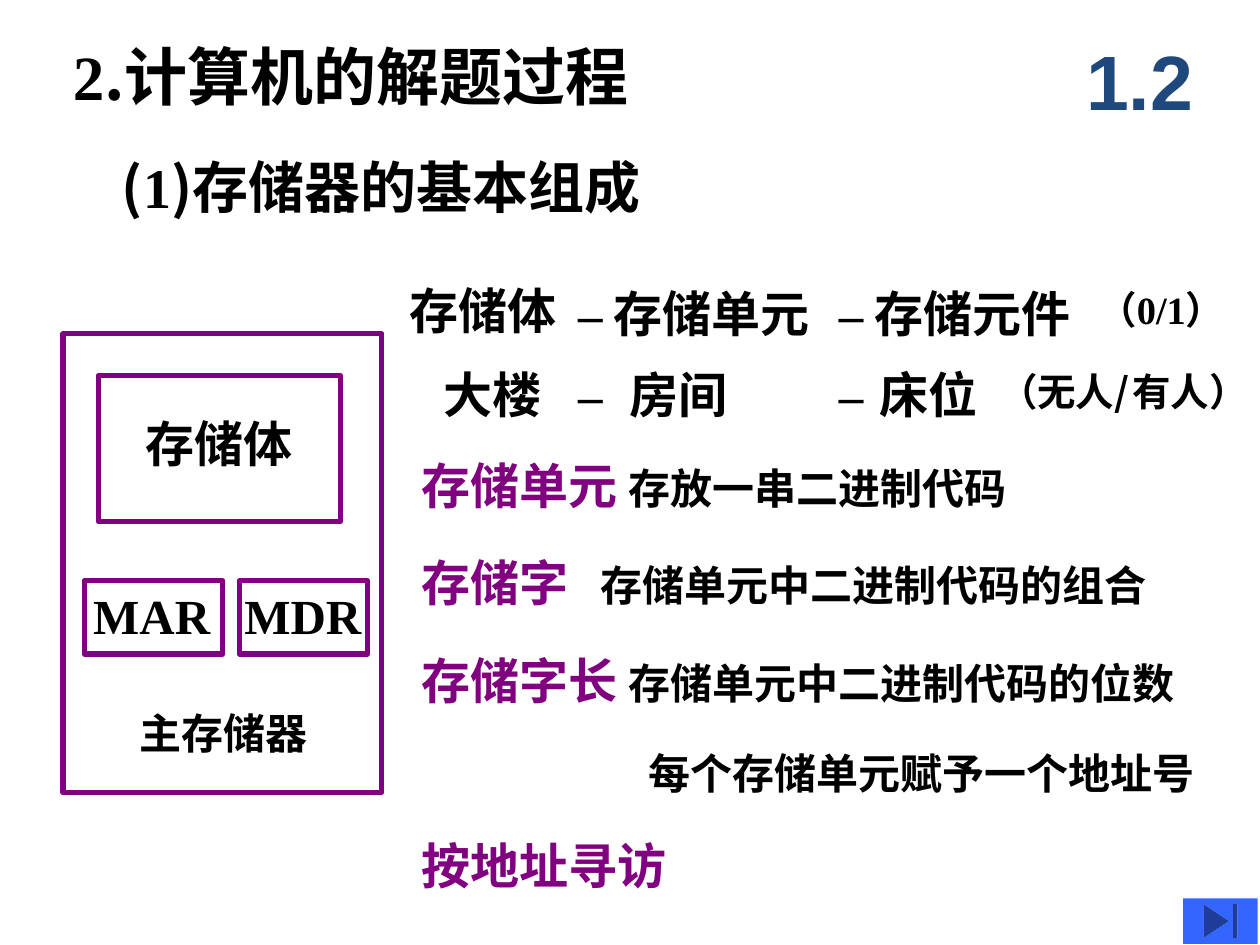
from dataclasses import dataclass
from lxml.etree import SubElement
from pptx import Presentation
from pptx.dml.color import RGBColor
from pptx.enum.shapes import MSO_SHAPE as Preset
from pptx.enum.text import MSO_ANCHOR as Anchor, MSO_AUTO_SIZE as AutoSize, PP_ALIGN as Align
from pptx.oxml import parse_xml
from pptx.oxml.ns import nsdecls, qn
from pptx.util import Pt


@dataclass(frozen=True)
class Theme:
    ink: RGBColor = RGBColor(0, 0, 0)
    accent: RGBColor = RGBColor(0x80, 0, 0x80)
    number: RGBColor = RGBColor(0x1F, 0x49, 0x7D)
    button: RGBColor = RGBColor(0x33, 0x66, 0xFF)
    cjk: str = "Noto Sans CJK SC"
    serif: str = "Times New Roman"
    sans: str = "Arial"
    section: int = 44
    title: int = 36
    subtitle: int = 32
    term: int = 28
    text: int = 24
    note: int = 22
    gap: int = 8


theme = Theme()
deck = Presentation()
deck.slide_width, deck.slide_height = Pt(720), Pt(540)
page = deck.slides.add_slide(deck.slide_layouts[5])


def write(box, place, spans, size, color=theme.ink, wrap=True, margins=(7.2, 3.6, 7.2, 3.6),
          align=Align.LEFT, anchor=Anchor.TOP, grow=True, tab=None):
    box.left, box.top, box.width, box.height = map(Pt, place)
    frame = box.text_frame
    frame.margin_left, frame.margin_top, frame.margin_right, frame.margin_bottom = map(Pt, margins)
    frame.word_wrap = wrap
    frame.vertical_anchor = anchor
    frame.auto_size = AutoSize.SHAPE_TO_FIT_TEXT if grow else AutoSize.NONE
    para = frame.paragraphs[0]
    para.alignment = align
    para.font.bold = True
    para.font.size = Pt(size)
    para.font.color.rgb = color
    if tab:
        para._p.get_or_add_pPr().insert(0, parse_xml(
            f'<a:tabLst {nsdecls("a")}><a:tab pos="{Pt(tab)}" algn="l"/></a:tabLst>'))
    for text, face, *style in spans:
        span = para.add_run()
        span.text = text
        if style:
            span.font.size = Pt(style[0])
            span.font.color.rgb = style[1] if len(style) > 1 else color
        span.font.name = face
        SubElement(span._r.get_or_add_rPr(), qn("a:ea"), typeface=face)


def add_text(*args, **options):
    write(page.shapes.add_textbox(0, 0, 0, 0), *args, **options)


write(page.shapes.title, (2.9, 18, 402.5, 50.4),
      [("2", theme.serif), (".计算机的解题过程", theme.cjk)], theme.title,
      margins=(0, 3.6, 7.2, 3.6), align=Align.CENTER)
add_text((606.2, 12.2, 90, 66.2), [("1.2", theme.sans)], theme.section, theme.number,
         align=Align.CENTER, anchor=Anchor.MIDDLE, grow=False)
add_text((62.6, 83.5, 490.3, 45.4),
         [("(", theme.cjk), ("1", theme.serif), (")存储器的基本组成", theme.cjk)], theme.subtitle)

for place in [(36, 190.8, 182.2, 262.1), (56.2, 214.6, 138.2, 83.5),
              (48.2, 331.9, 79.2, 41.8), (136.8, 331.9, 73.4, 41.8)]:
    frame_box = page.shapes.add_shape(Preset.RECTANGLE, *map(Pt, place))
    frame_box.shadow.inherit = False
    frame_box.fill.background()
    frame_box.line.color.rgb = theme.accent
    frame_box.line.width = Pt(3)

add_text((76.3, 232.6, 98.6, 41), [("存储体", theme.cjk)], theme.term, wrap=False)
add_text((53.3, 331.2, 74.2, 41), [("MAR", theme.serif)], theme.term, wrap=False,
         margins=(0, 3.6, 7.2, 3.6))
add_text((139.7, 331.2, 82.1, 41), [("MDR", theme.serif)], theme.term, margins=(0, 3.6, 0, 3.6))
add_text((79.9, 404.6, 96.5, 28.8), [("主存储器", theme.cjk)], theme.text, wrap=False,
         margins=(0, 0, 0, 0))

for left, top, width, label in [(226.8, 157, 110.9, "存储体"), (246.2, 204.5, 91.4, "大楼")]:
    add_text((left, top, width, 41), [(label, theme.cjk)], theme.term)
for left, width, part in [(323.3, 178.6, " 存储单元"), (472.3, 177.1, " 存储元件")]:
    add_text((left, 158.4, width, 41), [("–", theme.serif), (part, theme.cjk)], theme.term)
for left, width, part, tab in [(323.3, 133.2, "房间", 29.5), (472.3, 133.9, "床位", 23.3)]:
    add_text((left, 204.5, width, 41), [("–\t", theme.serif), (part, theme.cjk)],
             theme.term, tab=tab)
add_text((620.6, 159.8, 99.4, 33.8),
         [("（", theme.cjk), ("0/1", theme.serif), ("）", theme.cjk)], theme.note)
add_text((563.8, 206.6, 198.7, 33.8),
         [("（无人/", theme.cjk), (" ", theme.cjk, theme.gap), ("有人）", theme.cjk)], theme.note)

definitions = [
    ("存储单元 ", "存放一串二进制代码", 455.8, None),
    ("存储字\t", "存储单元中二进制代码的组合", 549.4, 102),
    ("存储字长 ", "存储单元中二进制代码的位数", 522, None),
]
for row, (term, meaning, width, tab) in enumerate(definitions):
    add_text((234, 256.5 + 55.7 * row, width, 41),
             [(term, theme.cjk), (meaning, theme.cjk, theme.text, theme.ink)],
             theme.term, theme.accent, tab=tab)
add_text((363.6, 423.4, 380.9, 36), [("每个存储单元赋予一个地址号", theme.cjk)], theme.text)
add_text((234, 473.8, 211, 41), [("按地址寻访", theme.cjk)], theme.term, theme.accent)

button = page.shapes.add_shape(Preset.ACTION_BUTTON_END, Pt(676.1), Pt(513.4), Pt(42.5), Pt(25.9))
button.shadow.inherit = False
button.fill.solid()
button.fill.fore_color.rgb = theme.button
button.line.fill.background()

deck.save("out.pptx")
